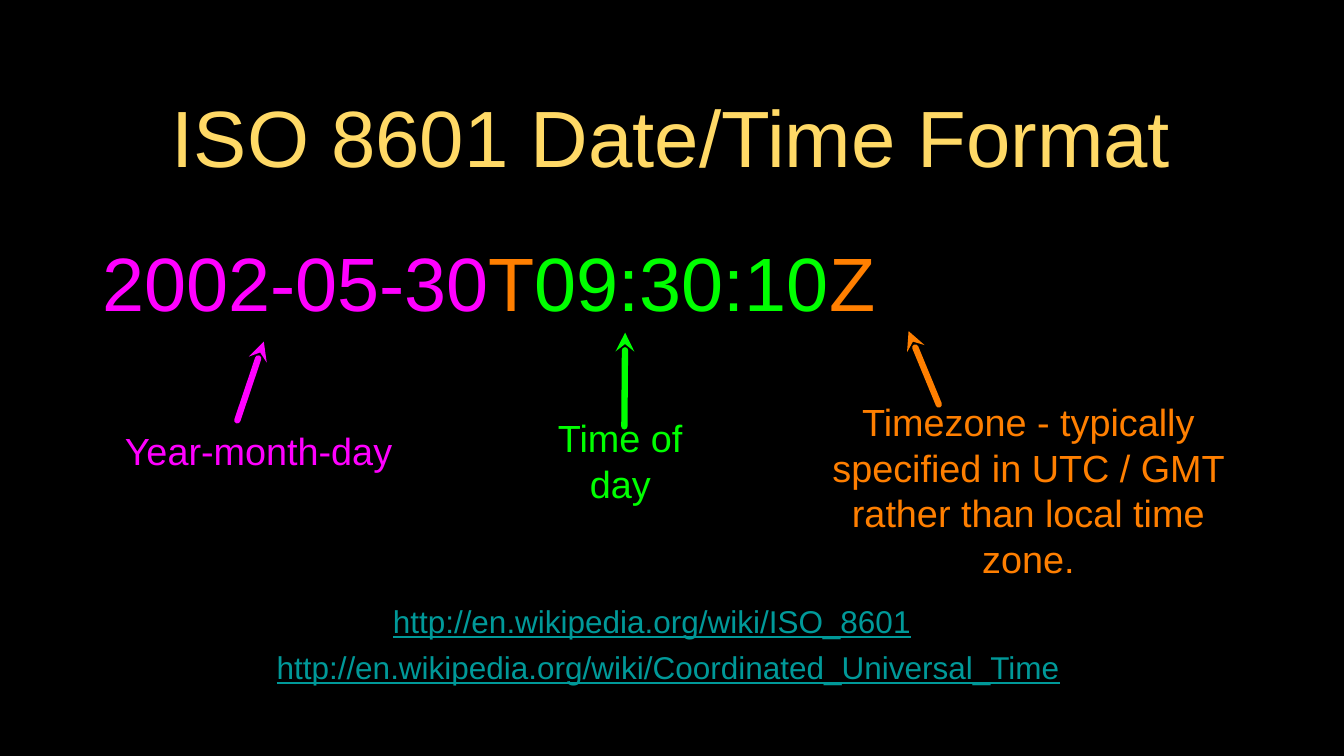
from lxml import etree
from pptx import Presentation
from pptx.dml.color import RGBColor
from pptx.enum.shapes import MSO_CONNECTOR
from pptx.enum.text import MSO_ANCHOR, MSO_AUTO_SIZE, PP_ALIGN
from pptx.oxml.ns import qn
from pptx.util import Inches, Pt

STRAIGHT = MSO_CONNECTOR.STRAIGHT
MIDDLE = MSO_ANCHOR.MIDDLE
NO_AUTOFIT = MSO_AUTO_SIZE.NONE
LEFT, CENTER = PP_ALIGN.LEFT, PP_ALIGN.CENTER

FONT = "Arial"
COLORS = {
    "background": "000000",
    "title": "FFD966",
    "date": "FF00FF",
    "time": "00FF00",
    "zone": "FF7F00",
    "link": "009999",
}

TITLE = "ISO 8601 Date/Time Format"
TIMESTAMP = [("2002-05-30", "date"), ("T", "zone"), ("09:30:10", "time"), ("Z", "zone")]
LABELS = [
    ("Year-month-day", "date", (1.34, 5.62, 4.16, 0.68)),
    ("Time of day", "time", (6.95, 5.75, 2.51, 0.68)),
    ("Timezone - typically specified in UTC / GMT rather than local time zone.",
     "zone", (10.71, 5.57, 5.79, 1.82)),
]
LINKS = [
    ("http://en.wikipedia.org/wiki/ISO_8601", (4.04, 7.87, 9.17, 0.68)),
    ("http://en.wikipedia.org/wiki/Coordinated_Universal_Time", (2.56, 8.48, 12.56, 0.68)),
]
ARROWS = [
    ("date", (3.49, 4.52), (3.14, 5.56)),
    ("time", (8.27, 4.40), (8.26, 5.64)),
    ("zone", (12.02, 4.38), (12.42, 5.35)),
]


def color(name):
    return RGBColor.from_string(COLORS[name])


def fill_text(shape, runs, size, alignment, margin=0, underline=None):
    frame = shape.text_frame
    frame.word_wrap = True
    frame.auto_size = NO_AUTOFIT
    frame.vertical_anchor = MIDDLE
    frame.margin_left = frame.margin_right = Inches(margin)
    frame.margin_top = frame.margin_bottom = Inches(margin)
    paragraph = frame.paragraphs[0]
    paragraph.alignment = alignment
    paragraph.font.name = FONT
    paragraph.font.size = Pt(size)
    paragraph.font.underline = underline
    for text, color_name in runs:
        run = paragraph.add_run()
        run.text = text
        run.font.color.rgb = color(color_name)


def add_text(slide, box, runs, size, alignment=CENTER, underline=None):
    shape = slide.shapes.add_textbox(*map(Inches, box))
    fill_text(shape, runs, size, alignment, underline=underline)


def add_arrow(slide, color_name, tip, tail):
    connector = slide.shapes.add_connector(STRAIGHT, *map(Inches, tip + tail))
    connector.line.color.rgb = color(color_name)
    connector.line.width = Pt(6)
    properties = connector._element.spPr
    line = properties.find(qn("a:ln"))
    line.set("cap", "rnd")
    etree.SubElement(line, qn("a:round"))
    etree.SubElement(line, qn("a:headEnd"), type="stealth")
    etree.SubElement(properties, qn("a:effectLst"))


def main():
    presentation = Presentation()
    presentation.slide_width = Inches(17.78)
    presentation.slide_height = Inches(10)
    slide = presentation.slides.add_slide(presentation.slide_layouts[5])
    slide.background.fill.solid()
    slide.background.fill.fore_color.rgb = color("background")

    title = slide.shapes.title
    title.left, title.top, title.width, title.height = map(Inches, (1.26, 0.83, 15.24, 1.94))
    fill_text(title, [(TITLE, "title")], 76, CENTER, margin=0.04)

    add_text(slide, (1.35, 3.09, 12.56, 1.26), TIMESTAMP, 72, LEFT)
    for text, color_name, box in LABELS:
        add_text(slide, box, [(text, color_name)], 36)
    for address, box in LINKS:
        add_text(slide, box, [(address, "link")], 30, underline=True)
    for color_name, tip, tail in ARROWS:
        add_arrow(slide, color_name, tip, tail)

    presentation.save("out.pptx")


if __name__ == "__main__":
    main()
